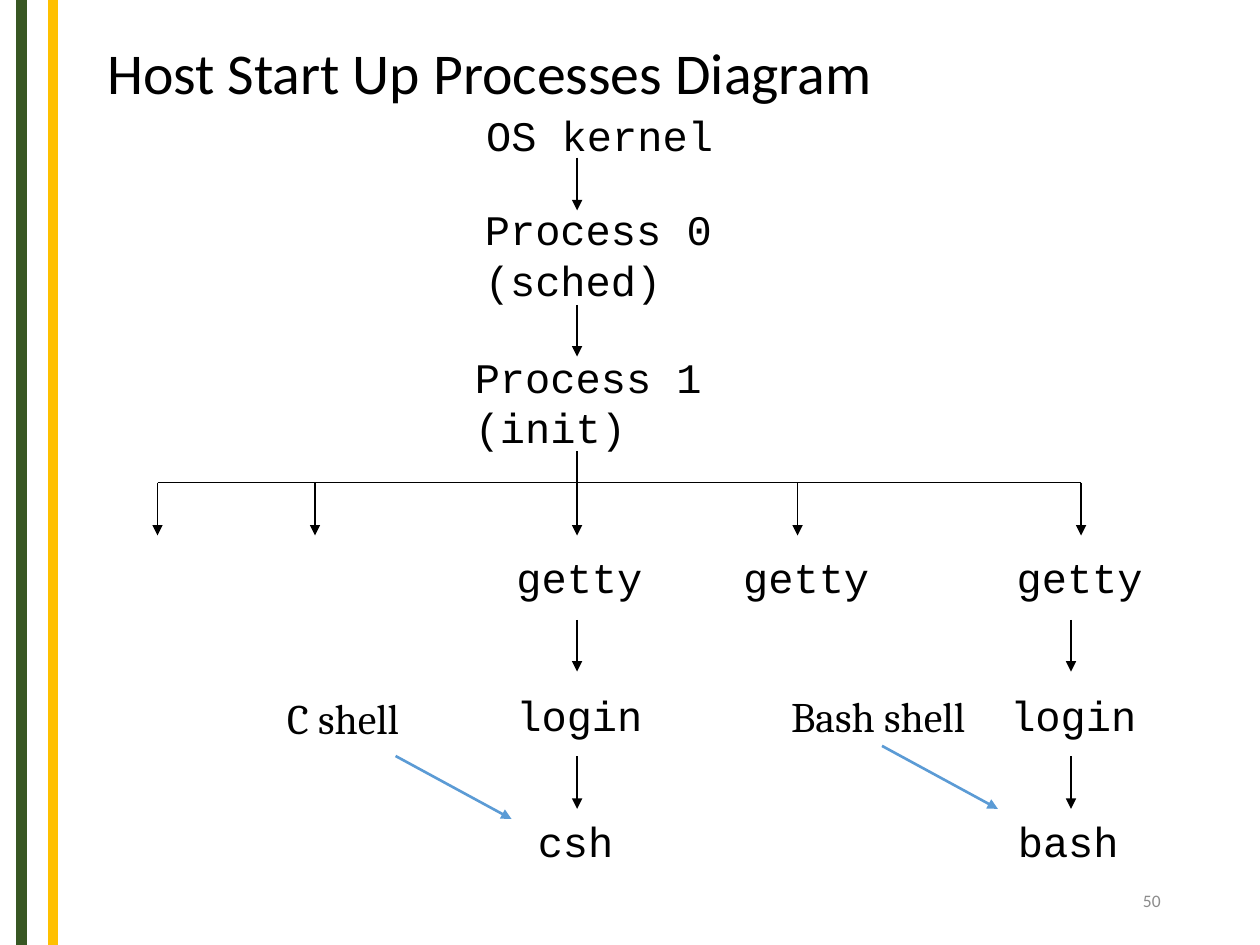
"""Build the host start-up processes diagram slide."""
from lxml.etree import SubElement
from pptx import Presentation
from pptx.dml.color import RGBColor
from pptx.enum.shapes import MSO_CONNECTOR as CONNECTOR
from pptx.enum.text import MSO_ANCHOR as ANCHOR, MSO_AUTO_SIZE as AUTO_SIZE, PP_ALIGN as ALIGN
from pptx.oxml.ns import qn
from pptx.util import Inches, Pt

COLORS = {"black": "000000", "green": "385723", "gold": "FFC000", "blue": "5B9BD5", "gray": "8C8C8C"}
TITLE = "Host Start Up Processes Diagram"
PAGE_NUMBER = "50"
STRIPES = [(0.17, "green"), (0.42, "gold")]
PROCESSES = [
    (["OS kernel"], 3.76, 0.82, 2),
    (["Process 0", "(sched)"], 3.75, 1.57, 2),
    (["Process 1", "(init)"], 3.67, 2.74, 2),
    (["getty"], 4, 4.33, 1.2),
    (["getty"], 5.8, 4.33, 1.2),
    (["getty"], 7.97, 4.33, 1.2),
    (["login"], 4, 5.42, 1.2),
    (["login"], 7.92, 5.42, 1.2),
    (["csh"], 4.17, 6.42, 0.8),
    (["bash"], 7.98, 6.42, 1),
]
SHELL_LABELS = [("Bash shell", 6.18, 5.43, 1.59), ("C shell", 2.18, 5.45, 1.15)]
SHELL_ARROWS = [(7, 5.92, 7.92, 6.42), (3.14, 6, 4.06, 6.5)]
TRUNK_X, BASH_X = 4.58, 8.5
BRANCH_XS = [1.25, 2.5, 6.33, 8.58]
BRANCH_TOP, BRANCH_BOTTOM = 3.83, 4.25
START_SPANS = [(1.25, 1.67), (2.42, 2.83), (3.58, BRANCH_BOTTOM)]
LOGIN_SPANS = [(4.92, 5.33), (6, 6.42)]


def color(name):
    return RGBColor.from_string(COLORS[name])


def add_run(paragraph, text, font, size, color_name="black"):
    run = paragraph.add_run()
    run.text = text
    run.font.name = font
    run.font.size = Pt(size)
    run.font.color.rgb = color(color_name)


def add_text(slide, lines, left, top, width, height, font, size=24, color_name="black", wrap=False):
    box = slide.shapes.add_textbox(Inches(left), Inches(top), Inches(width), Inches(height))
    frame = box.text_frame
    frame.word_wrap = wrap
    frame.auto_size = AUTO_SIZE.NONE if wrap else AUTO_SIZE.SHAPE_TO_FIT_TEXT
    for index, line in enumerate(lines):
        paragraph = frame.add_paragraph() if index else frame.paragraphs[0]
        add_run(paragraph, line, font, size, color_name)
    return frame


def add_line(slide, x1, y1, x2, y2, color_name="black", width=0.75, arrow=True):
    line = slide.shapes.add_connector(CONNECTOR.STRAIGHT, Inches(x1), Inches(y1), Inches(x2), Inches(y2))
    line.line.color.rgb = color(color_name)
    line.line.width = Pt(width)
    if arrow:
        SubElement(line.line._get_or_add_ln(), qn("a:tailEnd"), type="triangle")
    SubElement(line._element.spPr, qn("a:effectLst"))


def main():
    presentation = Presentation()
    presentation.slide_width, presentation.slide_height = Inches(10), Inches(7.5)
    slide = presentation.slides.add_slide(presentation.slide_layouts[5])

    for x, name in STRIPES:
        add_line(slide, x, 0, x, 7.5, name, 6, arrow=False)

    title = slide.shapes.title
    title.left, title.top, title.width, title.height = Inches(0.75), Inches(0), Inches(8.51), Inches(1.21)
    title.text_frame.auto_size = AUTO_SIZE.NONE
    title.text_frame.vertical_anchor = ANCHOR.MIDDLE
    heading = title.text_frame.paragraphs[0]
    heading.alignment = ALIGN.LEFT
    heading.line_spacing = 0.9
    add_run(heading, TITLE, "Calibri", 33)

    for lines, left, top, width in PROCESSES:
        add_text(slide, lines, left, top, width, 0.1 + 0.4 * len(lines), "Courier New")

    for top, bottom in START_SPANS + LOGIN_SPANS:
        add_line(slide, TRUNK_X, top, TRUNK_X, bottom)
    for top, bottom in LOGIN_SPANS:
        add_line(slide, BASH_X, top, BASH_X, bottom)
    add_line(slide, BRANCH_XS[0], BRANCH_TOP, BRANCH_XS[-1], BRANCH_TOP, arrow=False)
    for x in BRANCH_XS:
        add_line(slide, x, BRANCH_TOP, x, BRANCH_BOTTOM)

    for ends in SHELL_ARROWS:
        add_line(slide, *ends, "blue", 1.5)
    for label, left, top, width in SHELL_LABELS:
        add_text(slide, [label], left, top, width, 0.51, "Cambria")

    number = add_text(slide, [PAGE_NUMBER], 7.06, 6.95, 2.25, 0.4, "Calibri", 10, "gray", wrap=True)
    number.vertical_anchor = ANCHOR.MIDDLE
    number.paragraphs[0].alignment = ALIGN.RIGHT

    presentation.save("out.pptx")


main()
